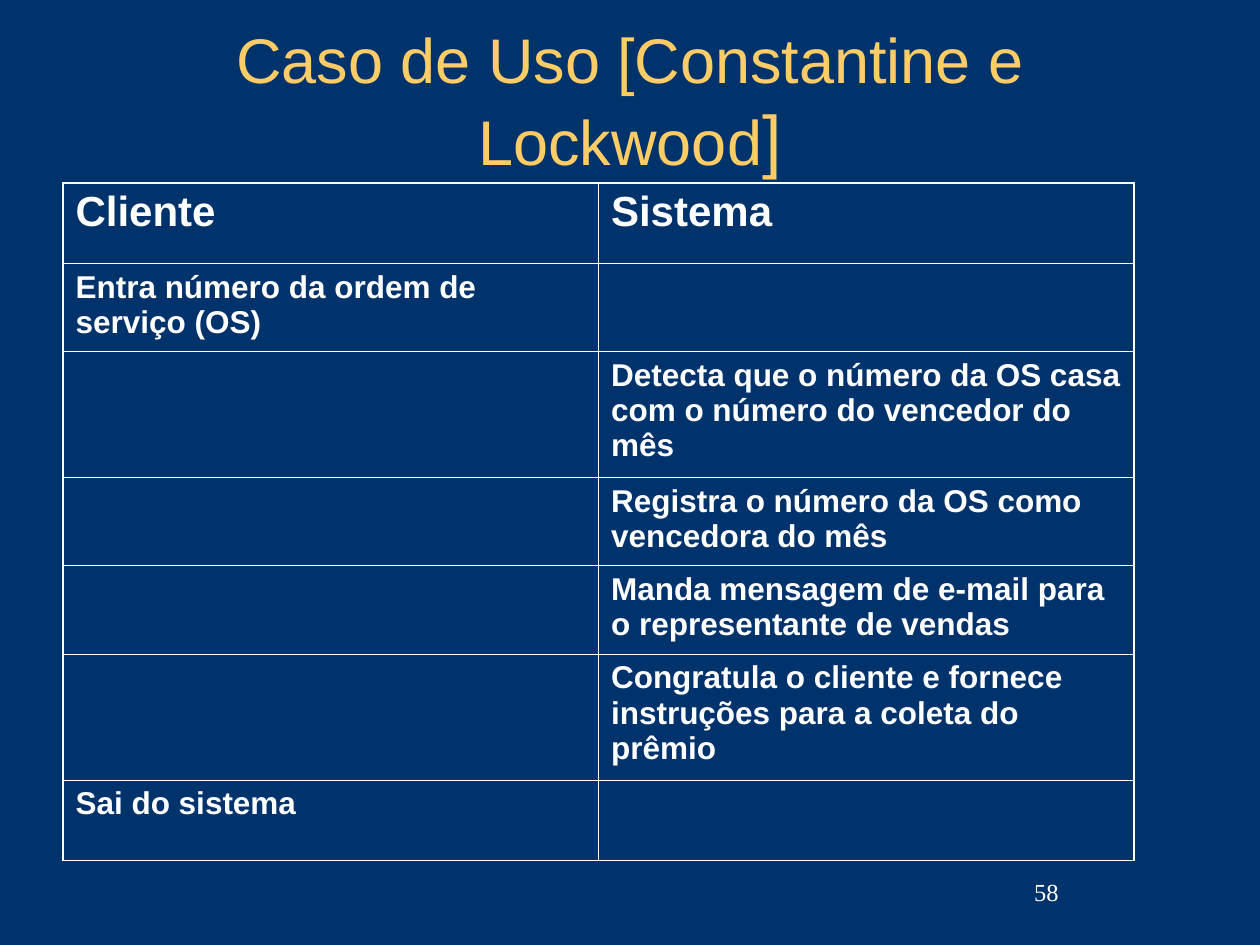
from lxml.etree import SubElement
from pptx import Presentation
from pptx.dml.color import RGBColor
from pptx.enum.text import MSO_ANCHOR, MSO_AUTO_SIZE, PP_ALIGN
from pptx.oxml.ns import qn
from pptx.util import Inches, Pt

COLORS = {"background": "00336B", "title": "FFCC66", "text": "FFFFFF"}


class SlideBuilder:
    def __init__(self, prs):
        self.s = prs.slides.add_slide(prs.slide_layouts[5])
        fill = self.s.background.fill
        fill.solid()
        fill.fore_color.rgb = RGBColor.from_string(COLORS["background"])

    def font(self, font, size, color="text", name="Arial", bold=False):
        font.name = name
        font.size = Pt(size)
        font.bold = bold
        font.color.rgb = RGBColor.from_string(COLORS[color])

    def frame(self, sp):
        tf = sp.text_frame
        tf.word_wrap = True
        tf.auto_size = MSO_AUTO_SIZE.NONE
        tf.vertical_anchor = MSO_ANCHOR.MIDDLE
        return tf.paragraphs[0]

    def title(self, runs, left, top, width, height):
        sp = self.s.shapes.title
        sp.left, sp.top = Inches(left), Inches(top)
        sp.width, sp.height = Inches(width), Inches(height)
        p = self.frame(sp)
        p.alignment = PP_ALIGN.CENTER
        for text, size in runs:
            r = p.add_run()
            r.text = text
            self.font(r.font, size, "title")

    def page_number(self, text, left, top, width, height):
        sp = self.s.shapes.add_textbox(Inches(left), Inches(top), Inches(width), Inches(height))
        p = self.frame(sp)
        p.text = text
        p.alignment = PP_ALIGN.RIGHT
        self.font(p.font, 14, name="Times New Roman")

    def border(self, cell, side, width):
        tc_pr = cell._tc.get_or_add_tcPr()
        ln = SubElement(tc_pr, qn(f"a:ln{side}"), w=str(Pt(width)))
        fill = SubElement(ln, qn("a:solidFill"))
        SubElement(fill, qn("a:srgbClr"), val=COLORS["text"])

    def table(self, rows, heights, widths, left, top):
        table = self.s.shapes.add_table(
            len(rows), len(widths), Inches(left), Inches(top),
            Inches(sum(widths)), Inches(sum(heights))).table
        table.first_row = table.horz_banding = False
        for column, width in zip(table.columns, widths):
            column.width = Inches(width)
        for i, texts in enumerate(rows):
            table.rows[i].height = Inches(heights[i])
            for j, text in enumerate(texts):
                cell = table.cell(i, j)
                outer = {"L": j == 0, "R": j == len(widths) - 1,
                         "T": i == 0, "B": i == len(rows) - 1}
                for side, is_outer in outer.items():
                    self.border(cell, side, 1.08 if is_outer else 0.45)
                cell.fill.background()
                cell.margin_left = cell.margin_right = Inches(0.1)
                p = cell.text_frame.paragraphs[0]
                p.text = text
                p.space_before = Pt(4.5 if i else 6)
                self.font(p.font, 18 if i else 24, bold=True)


prs = Presentation()
prs.slide_width, prs.slide_height = Inches(10), Inches(7.5)
slide = SlideBuilder(prs)
slide.title([("Caso de Uso [Constantine e Lockwood", 36), ("]", 40)], 0.75, 0.17, 8.5, 1.25)
slide.table(
    [("Cliente", "Sistema"),
     ("Entra número da ordem de serviço (OS)", ""),
     ("", "Detecta que o número da OS casa com o número do vencedor do mês"),
     ("", "Registra o número da OS como vencedora do mês"),
     ("", "Manda mensagem de e-mail para o representante de vendas"),
     ("", "Congratula o cliente e fornece instruções para a coleta do prêmio"),
     ("Sai do sistema", "")],
    [0.64, 0.7, 1, 0.7, 0.7, 1, 0.64], [4.25, 4.25], 0.5, 1.45)
slide.page_number("58", 6.42, 6.83, 2.08, 0.5)
prs.save("out.pptx")
